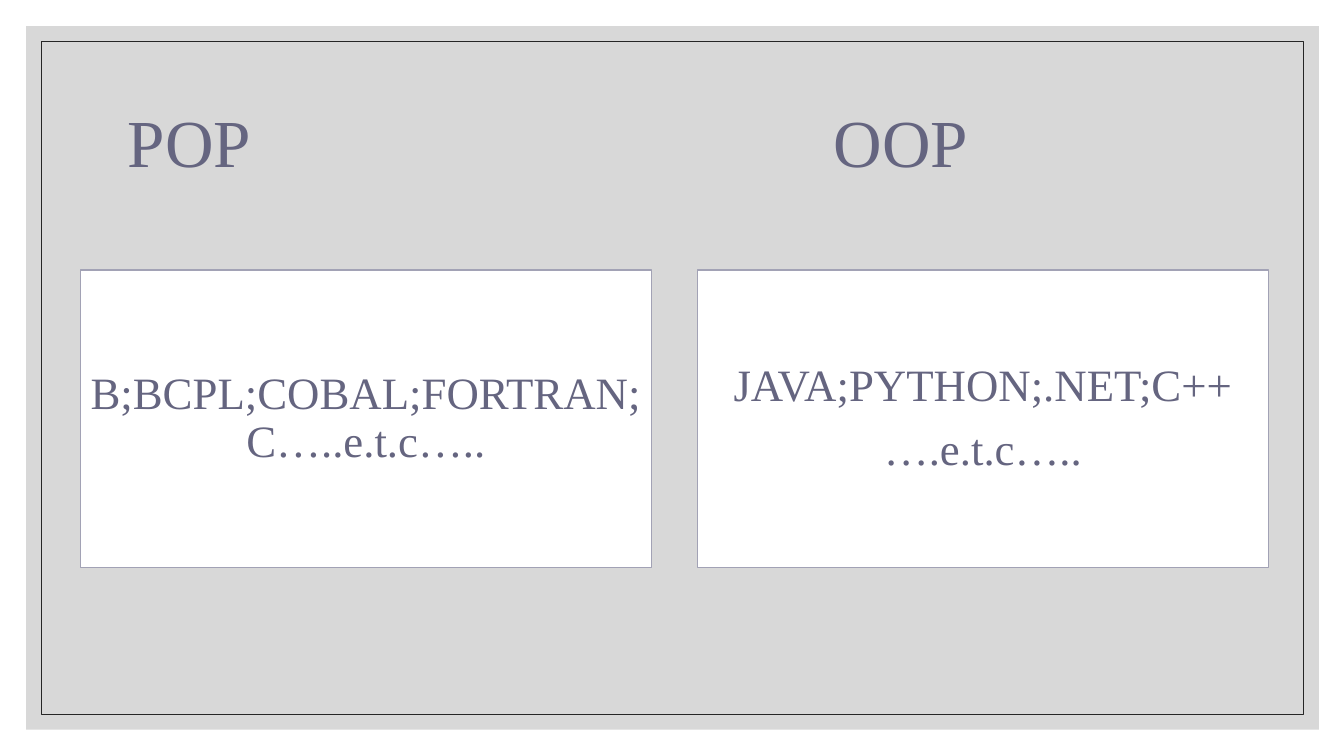
from dataclasses import dataclass

from lxml.etree import SubElement
from pptx import Presentation
from pptx.dml.color import RGBColor
from pptx.enum.shapes import MSO_SHAPE
from pptx.enum.text import MSO_ANCHOR, PP_ALIGN
from pptx.oxml.ns import qn
from pptx.util import Inches, Pt


@dataclass(frozen=True)
class Theme:
    font: str = "Times New Roman"
    text: str = "656580"
    backdrop: str = "BFBFBF"
    frame: str = "262626"
    panel: str = "FFFFFF"
    panel_line: str = "A2A2B5"
    title_size: int = 48
    body_size: int = 32
    line_spacing: float = 0.9
    paragraph_gap: float = 11.2


class SlideBuilder:
    def __init__(self, slide, theme):
        self.s = slide
        self.theme = theme

    def rect(self, left, top, width, height, fill=None, alpha=None, line=None, weight=1):
        sp = self.s.shapes.add_shape(
            MSO_SHAPE.RECTANGLE, Inches(left), Inches(top), Inches(width), Inches(height))
        sp.shadow.inherit = False
        if fill:
            sp.fill.solid()
            sp.fill.fore_color.rgb = RGBColor.from_string(fill)
        else:
            sp.fill.background()
        if alpha:
            color = sp._element.spPr.find(qn("a:solidFill"))[0]
            SubElement(color, qn("a:alpha"), val=str(alpha * 1000))
        if line:
            sp.line.color.rgb = RGBColor.from_string(line)
            sp.line.width = Pt(weight)
        else:
            sp.line.fill.background()
        return sp

    def set_text(self, tf, lines, size, align):
        tf.word_wrap = True
        tf.vertical_anchor = MSO_ANCHOR.MIDDLE
        tf.text = "\n".join(lines)
        for i, p in enumerate(tf.paragraphs):
            p.alignment = align
            p.line_spacing = self.theme.line_spacing
            if i:
                p.space_before = Pt(self.theme.paragraph_gap)
            for r in p.runs:
                r.font.name = self.theme.font
                r.font.size = Pt(size)
                r.font.color.rgb = RGBColor.from_string(self.theme.text)

    def title(self, left, top, width, height, headings, tab):
        box = self.s.shapes.add_textbox(
            Inches(left), Inches(top), Inches(width), Inches(height))
        tf = box.text_frame
        self.set_text(tf, ["\t".join(headings)], self.theme.title_size, PP_ALIGN.LEFT)
        tabs = SubElement(tf.paragraphs[0]._p.get_or_add_pPr(), qn("a:tabLst"))
        SubElement(tabs, qn("a:tab"), pos=str(int(Inches(tab))), algn="l")

    def panel(self, left, top, width, height, lines):
        sp = self.rect(left, top, width, height,
                       fill=self.theme.panel, line=self.theme.panel_line)
        tf = sp.text_frame
        tf.margin_left = tf.margin_right = Inches(0.08)
        tf.margin_top = tf.margin_bottom = Inches(0.13)
        self.set_text(tf, lines, self.theme.body_size, PP_ALIGN.CENTER)


def main():
    prs = Presentation()
    prs.slide_width, prs.slide_height = Inches(13.33), Inches(7.5)
    theme = Theme()
    slide = SlideBuilder(prs.slides.add_slide(prs.slide_layouts[6]), theme)

    # Backdrop and frame
    slide.rect(0.26, 0.26, 12.82, 6.98, fill=theme.backdrop, alpha=60)
    slide.rect(0.41, 0.41, 12.52, 6.68, line=theme.frame, weight=0.5)

    # Column headings
    slide.title(1.17, 0.7, 11, 1.5, ["POP", "OOP"], tab=7)

    # Language panels
    languages = [
        ["B;BCPL;COBAL;FORTRAN;C…..e.t.c….."],
        ["JAVA;PYTHON;.NET;C++", "….e.t.c….."],
    ]
    for i, lines in enumerate(languages):
        slide.panel(0.8 + i * 6.12, 2.68, 5.66, 2.95, lines)

    prs.save("out.pptx")


if __name__ == "__main__":
    main()
